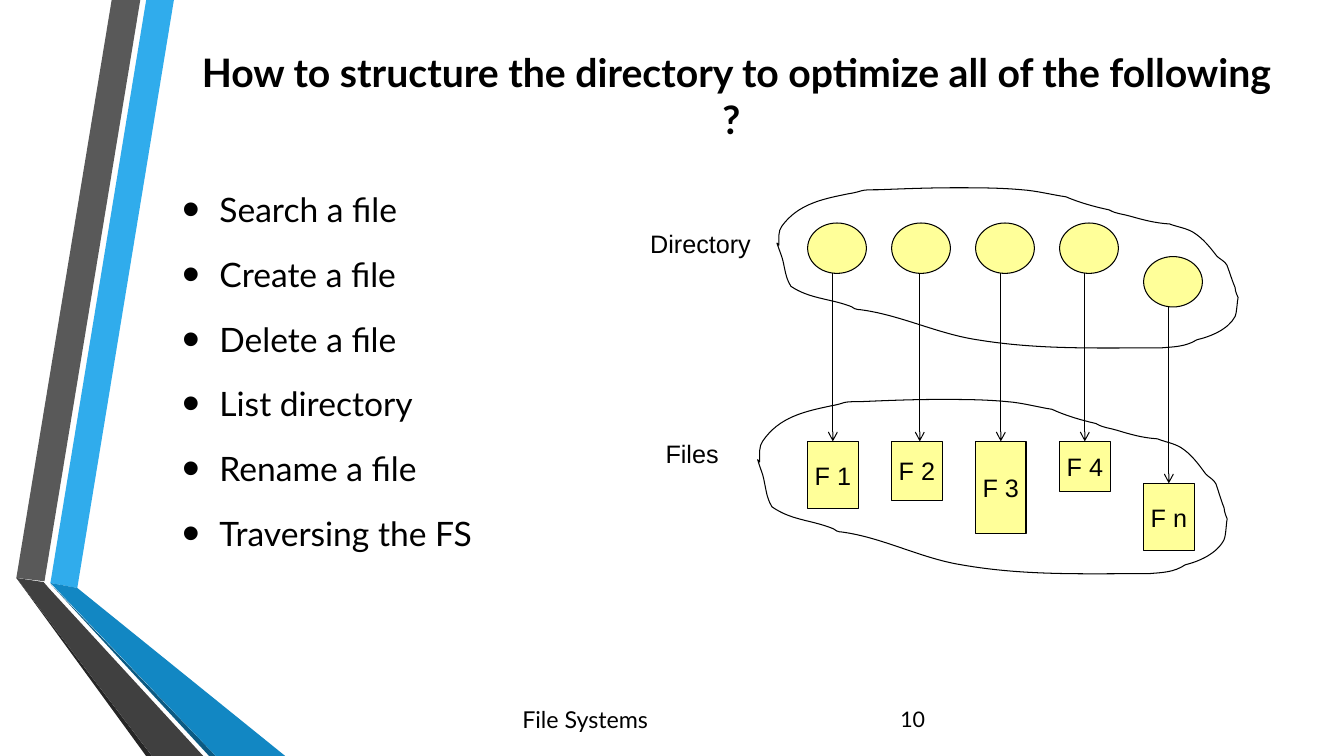
from dataclasses import dataclass

from lxml.etree import SubElement
from pptx import Presentation
from pptx.dml.color import RGBColor
from pptx.enum.shapes import MSO_CONNECTOR, MSO_SHAPE
from pptx.enum.text import MSO_ANCHOR, PP_ALIGN
from pptx.oxml.ns import qn
from pptx.shapes.autoshape import Shape
from pptx.slide import Slide
from pptx.util import Inches, Pt

WIDTH, HEIGHT = Inches(13.34), Inches(7.5)
COLUMN, ROW = WIDTH / 160, HEIGHT / 90

BLACK = RGBColor(0x00, 0x00, 0x00)
YELLOW = RGBColor(0xFF, 0xFF, 0x99)
SKY = RGBColor(0x30, 0xAC, 0xEC)
BLUE = RGBColor(0x12, 0x87, 0xC3)
NAVY = RGBColor(0x0C, 0x5A, 0x82)
GREY = RGBColor(0x59, 0x59, 0x59)
CHARCOAL = RGBColor(0x40, 0x40, 0x40)
SOOT = RGBColor(0x26, 0x26, 0x26)

Point = tuple[float, float]


@dataclass(frozen=True)
class Area:
    column: float
    row: float
    columns: float
    rows: float

    def lengths(self) -> tuple[int, int, int, int]:
        return (round(self.column * COLUMN), round(self.row * ROW),
                round(self.columns * COLUMN), round(self.rows * ROW))


@dataclass(frozen=True)
class Band:
    color: RGBColor
    corners: list[Point]


@dataclass(frozen=True)
class File:
    name: str
    rows: float
    entry_row: float = 26.55
    file_row: float = 52.55
    arrow_offset: float = 3


BANDS = [
    Band(SKY, [(6, 69.4), (9.2, 70), (20.7, 0), (17.4, 0)]),
    Band(GREY, [(16.7, 0), (13.3, 0), (1.95, 68.8), (5.3, 69.2)]),
    Band(SOOT, [(1.95, 68.8), (17.4, 90), (18.1, 90)]),
    Band(NAVY, [(6, 69.5), (24.9, 90), (25.7, 90)]),
    Band(BLUE, [(6, 69.4), (25.7, 90), (33.95, 90), (9.2, 70)]),
    Band(CHARCOAL, [(24.2, 90), (5.8, 70), (5.2, 69.3), (1.95, 68.8), (18.1, 90)]),
]

FILES = [
    File("F 1", 8),
    File("F 2", 7, arrow_offset=3.35),
    File("F 3", 11),
    File("F 4", 6),
    File("F n", 8, entry_row=30.55, file_row=57.55),
]
FIRST_FILE_COLUMN, FILE_STEP = 96.15, 10

TASKS = ["Search a file", "Create a file", "Delete a file",
         "List directory", "Rename a file", "Traversing the FS"]

CLOUDS = [Area(92.5, 22.35, 54.9, 19.3), Area(90.2, 47.55, 55.9, 21)]
CLOUD_SIZE = (458, 161)
CLOUD_START = (2, 57)
CLOUD_CURVES = [
    [(2, 50), (1, 43), (5, 38)], [(21, 16), (46, 11), (71, 6)],
    [(89, 3), (79, 2), (101, 2)], [(126, 1), (152, 0), (177, 0)],
    [(199, 0), (221, 0), (243, 2)], [(258, 3), (273, 7), (287, 9)],
    [(301, 15), (316, 19), (330, 22)], [(337, 26), (343, 26), (350, 28)],
    [(364, 32), (375, 35), (390, 36)], [(398, 39), (406, 40), (413, 44)],
    [(423, 50), (430, 59), (437, 68)], [(440, 71), (445, 73), (447, 77)],
    [(450, 85), (452, 92), (455, 99)], [(455, 103), (458, 109), (458, 109)],
    [(457, 113), (457, 123), (455, 128)], [(448, 141), (430, 148), (417, 151)],
    [(406, 158), (394, 158), (382, 159)], [(318, 159), (260, 161), (199, 151)],
    [(159, 145), (122, 126), (82, 121)], [(81, 121), (79, 121), (77, 120)],
    [(75, 119), (73, 117), (71, 117)], [(51, 110), (32, 110), (14, 98)],
    [(8, 89), (8, 79), (5, 69)], [(5, 69), (1, 58), (0, 55)],
    [(0, 55), (1, 56), (2, 57)],
]


def write(box: Shape, *lines: str, size: float, font: str = "Lato", bold: bool = False,
          align: PP_ALIGN = PP_ALIGN.LEFT, spacing: float = 1, before: float = 0,
          bullet_indent: float = 0, wrap: bool = True, margin: float = 0.1) -> None:
    frame = box.text_frame
    frame.word_wrap = wrap
    frame.vertical_anchor = MSO_ANCHOR.MIDDLE
    frame.margin_left = frame.margin_right = Inches(margin)
    for index, line in enumerate(lines):
        para = frame.add_paragraph() if index else frame.paragraphs[0]
        para.alignment, para.line_spacing = align, spacing
        para.space_before = Pt(before if index else 0)
        if bullet_indent:
            properties = para._p.get_or_add_pPr()
            indent = round(bullet_indent * COLUMN)
            properties.set("marL", str(indent))
            properties.set("indent", str(-indent))
            SubElement(properties, qn("a:buSzPct")).set("val", "150000")
            SubElement(properties, qn("a:buFont")).set("typeface", "Arial")
            SubElement(properties, qn("a:buChar")).set("char", "•")
        para.text = line
        for span in para.runs:
            span.font.name, span.font.size, span.font.bold = font, Pt(size), bold
            span.font.color.rgb = BLACK


def add_text(page: Slide, area: Area, *lines: str, **text_format) -> None:
    write(page.shapes.add_textbox(*area.lengths()), *lines, **text_format)


def add_outline(page: Slide, points: list[Point]) -> Shape:
    corners = [(round(x * COLUMN), round(y * ROW)) for x, y in points]
    builder = page.shapes.build_freeform(*corners[0])
    builder.add_line_segments(corners[1:], close=True)
    outline = builder.convert_to_shape()
    outline.shadow.inherit = False
    return outline


def draw_band(page: Slide, band: Band) -> None:
    shape = add_outline(page, band.corners)
    shape.fill.solid()
    shape.fill.fore_color.rgb = band.color
    shape.line.fill.background()


def stroke(shape: Shape) -> None:
    shape.line.color.rgb = BLACK
    shape.line.width = Pt(0.75)


def bend_outline(outline: Shape) -> None:
    segments = list(outline._element.iter(qn("a:lnTo")))
    for first, second, end in zip(*[iter(segments)] * 3):
        first.tag_name = None
        curve = first.getparent().makeelement(qn("a:cubicBezTo"))
        first.addprevious(curve)
        for segment in (first, second, end):
            curve.append(segment[0])
            segment.getparent().remove(segment)


def draw_cloud(page: Slide, area: Area) -> None:
    width, height = CLOUD_SIZE
    points = [CLOUD_START, *(point for curve in CLOUD_CURVES for point in curve)]
    cloud = add_outline(page, [(area.column + x / width * area.columns,
                                area.row + y / height * area.rows) for x, y in points])
    bend_outline(cloud)
    cloud.fill.background()
    stroke(cloud)


def draw_yellow(page: Slide, kind: MSO_SHAPE, area: Area) -> Shape:
    shape = page.shapes.add_shape(kind, *area.lengths())
    shape.shadow.inherit = False
    shape.fill.solid()
    shape.fill.fore_color.rgb = YELLOW
    stroke(shape)
    return shape


def draw_file(page: Slide, file: File, column: float) -> None:
    draw_yellow(page, MSO_SHAPE.OVAL, Area(column, file.entry_row, 7, 6))
    box = draw_yellow(page, MSO_SHAPE.RECTANGLE, Area(column, file.file_row, 6, file.rows))
    write(box, file.name, size=18, font="Arial", align=PP_ALIGN.CENTER, wrap=False)
    x = round((column + file.arrow_offset) * COLUMN)
    arrow = page.shapes.add_connector(MSO_CONNECTOR.STRAIGHT, x, round((file.entry_row + 6) * ROW),
                                      x, round(file.file_row * ROW))
    stroke(arrow)
    SubElement(arrow.line._get_or_add_ln(), qn("a:tailEnd")).set("type", "arrow")
    SubElement(arrow._element.spPr, qn("a:effectLst"))


def main() -> None:
    deck = Presentation()
    deck.slide_width, deck.slide_height = WIDTH, HEIGHT
    page = deck.slides.add_slide(deck.slide_layouts[6])
    for band in BANDS:
        draw_band(page, band)
    add_text(page, Area(22.7, 7.3, 129.9, 8),
             "How to structure the directory to optimize all of the following\v? ",
             size=28, bold=True, align=PP_ALIGN.CENTER, margin=0)
    add_text(page, Area(20.5, 19.6, 54.5, 47.2), *TASKS, size=24, align=PP_ALIGN.JUSTIFY,
             spacing=1.4, before=6, bullet_indent=4.45)
    add_text(page, Area(61, 83.4, 38, 4.8), "File Systems", size=16.6, spacing=0.9)
    add_text(page, Area(106, 83.4, 28, 4.8), "10", size=15.3, spacing=0.9)
    for index, file in enumerate(FILES):
        draw_file(page, file, FIRST_FILE_COLUMN + index * FILE_STEP)
    for cloud in CLOUDS:
        draw_cloud(page, cloud)
    for label, area in (("Directory", Area(76.2, 26.55, 14.4, 4.8)),
                        ("Files", Area(78, 51.6, 8.8, 4.8))):
        add_text(page, area, label, size=18, font="Arial", align=PP_ALIGN.CENTER, wrap=False)
    deck.save("out.pptx")


if __name__ == "__main__":
    main()
